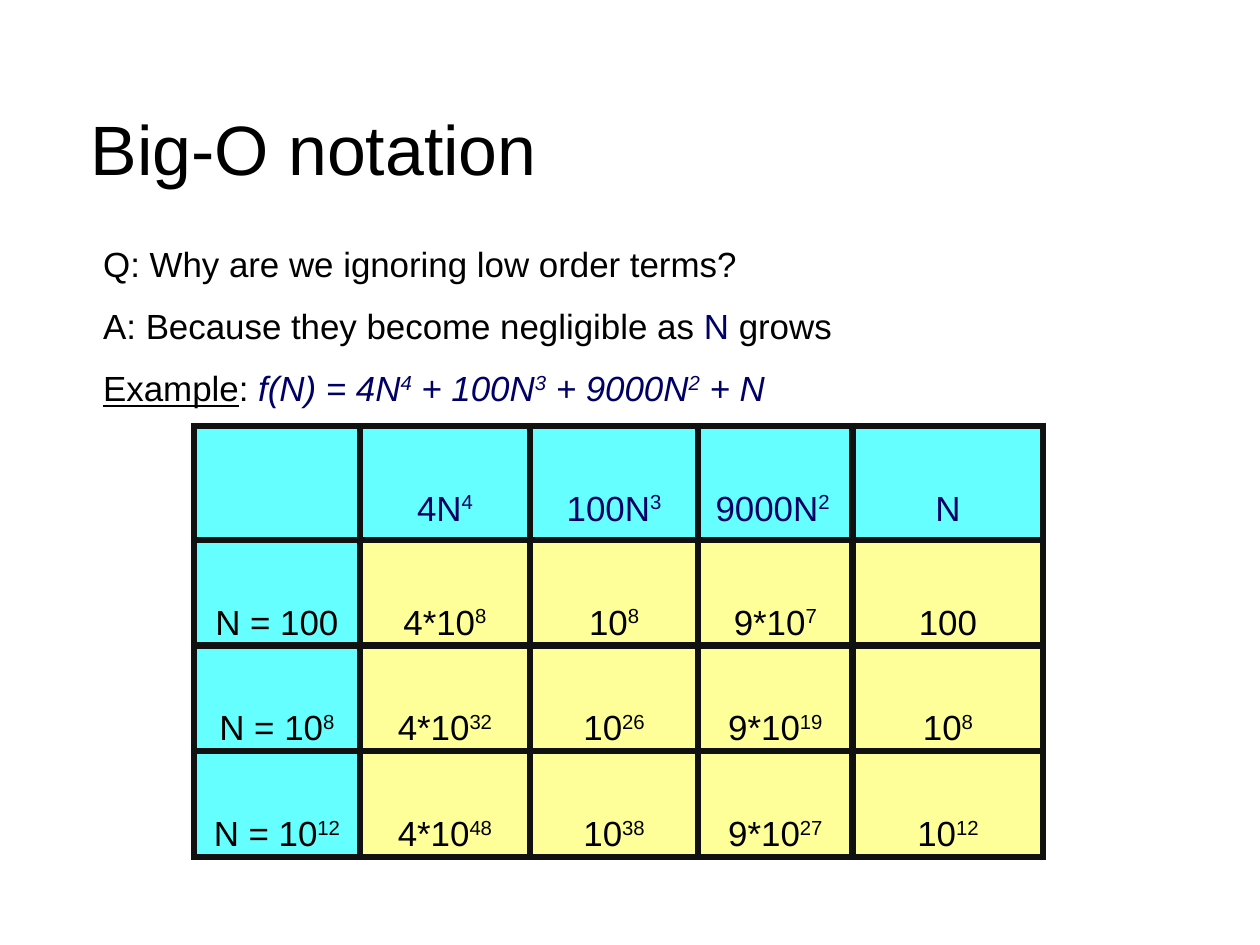
from lxml import etree
from pptx import Presentation
from pptx.dml.color import RGBColor
from pptx.enum import text
from pptx.oxml import ns
from pptx.util import Pt

BLACK = RGBColor(0x00, 0x00, 0x00)
NAVY = RGBColor(0x00, 0x00, 0x66)
CYAN = RGBColor(0x66, 0xFF, 0xFF)
YELLOW = RGBColor(0xFF, 0xFF, 0x99)
BORDER = RGBColor(0x11, 0x11, 0x11)

FONT = "Arial"
BODY_SIZE = 22
BORDER_WIDTH = 4.54

COLUMN_WIDTHS = [104.4, 107.3, 105.8, 97.4, 120.1]
ROW_HEIGHTS = [71.8, 66.6, 66.6, 66.6]
GROWTH = [
    ["", "4N^4", "100N^3", "9000N^2 ", "N"],
    ["N = 100", "4*10^8", "10^8", "9*10^7", "100"],
    ["N = 10^8", "4*10^32", "10^26", "9*10^19", "10^8"],
    ["N = 10^12", "4*10^48", "10^38", "9*10^27", "10^12"],
]
ANSWERS = [
    [("Q: Why are we ignoring low order terms?", BLACK, {})],
    [("A: Because they become negligible as ", BLACK, {}),
     ("N", NAVY, {}),
     (" grows", BLACK, {})],
    [("Example", BLACK, {"underline": True}),
     (": ", BLACK, {}),
     ("f(N) = 4N^4^ + 100N^3^ + 9000N^2^ + N", NAVY, {"italic": True})],
]


def add_runs(paragraph, wording, color, size=BODY_SIZE, **style):
    """Add wording as runs; every second part between ^ marks is superscript."""
    for index, part in enumerate(wording.split("^")):
        run = paragraph.add_run()
        run.text = part
        run.font.name = FONT
        run.font.size = Pt(size)
        run.font.color.rgb = color
        for name, value in style.items():
            setattr(run.font, name, value)
        if index % 2:
            run.font._element.set("baseline", "33000")


def add_frame(slide, box, left_inset, top_inset, anchor):
    frame = slide.shapes.add_textbox(*map(Pt, box)).text_frame
    frame.word_wrap = True
    frame.vertical_anchor = anchor
    frame.margin_left, frame.margin_top = Pt(left_inset), Pt(top_inset)
    frame.margin_right = frame.margin_bottom = 0
    return frame


def add_title(slide, box):
    heading = add_frame(slide, box, 0, 2.9, text.MSO_ANCHOR.MIDDLE).paragraphs[0]
    heading.line_spacing = 0.93
    add_runs(heading, "Big-O notation", BLACK, 44)


def add_answers(slide, box):
    frame = add_frame(slide, box, 8, 1.2, text.MSO_ANCHOR.TOP)
    for index, pieces in enumerate(ANSWERS):
        line = frame.add_paragraph() if index else frame.paragraphs[0]
        line.line_spacing = 0.95
        line.space_after = Pt(14.2)
        for wording, color, style in pieces:
            add_runs(line, wording, color, **style)


def add_borders(cell):
    properties = cell._tc.get_or_add_tcPr()
    for side in ("a:lnL", "a:lnR", "a:lnT", "a:lnB"):
        edge = etree.SubElement(properties, ns.qn(side), w=str(Pt(BORDER_WIDTH)))
        fill = etree.SubElement(edge, ns.qn("a:solidFill"))
        etree.SubElement(fill, ns.qn("a:srgbClr"), val=str(BORDER))


def fill_cell(cell, wording, color, background):
    add_borders(cell)
    cell.fill.solid()
    cell.fill.fore_color.rgb = background
    if wording:
        cell.margin_left = cell.margin_right = Pt(7.2)
        cell.margin_top, cell.margin_bottom = Pt(48.7), Pt(2.2)
        line = cell.text_frame.paragraphs[0]
        line.alignment = text.PP_ALIGN.CENTER
        line.line_spacing = 0.58
        add_runs(line, wording, color)


def add_growth_table(slide, left, top):
    table = slide.shapes.add_table(
        len(ROW_HEIGHTS), len(COLUMN_WIDTHS), Pt(left), Pt(top),
        Pt(sum(COLUMN_WIDTHS)), Pt(sum(ROW_HEIGHTS))).table
    table.first_row = table.horz_banding = False
    for column, width in zip(table.columns, COLUMN_WIDTHS):
        column.width = Pt(width)
    for r, (row, height) in enumerate(zip(table.rows, ROW_HEIGHTS)):
        row.height = Pt(height)
        for c, wording in enumerate(GROWTH[r]):
            is_header = r == 0 or c == 0
            fill_cell(table.cell(r, c), wording, BLACK if r else NAVY,
                      CYAN if is_header else YELLOW)


def main():
    deck = Presentation()
    deck.slide_width, deck.slide_height = Pt(793.7), Pt(595.28)
    slide = deck.slides.add_slide(deck.slide_layouts[6])
    add_title(slide, (57, 54, 666, 80.6))
    add_answers(slide, (57, 153.4, 697, 378.7))
    add_growth_table(slide, 122.2, 268.2)
    deck.save("out.pptx")


if __name__ == "__main__":
    main()
